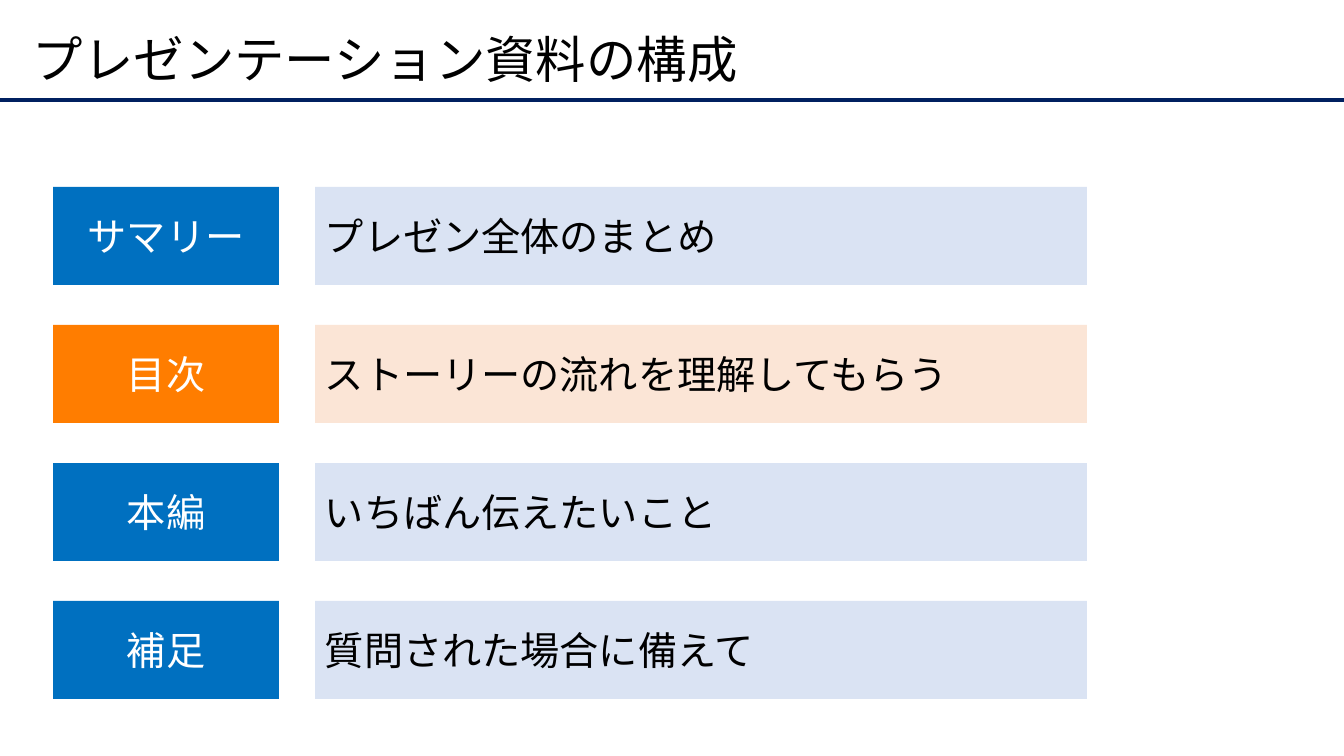
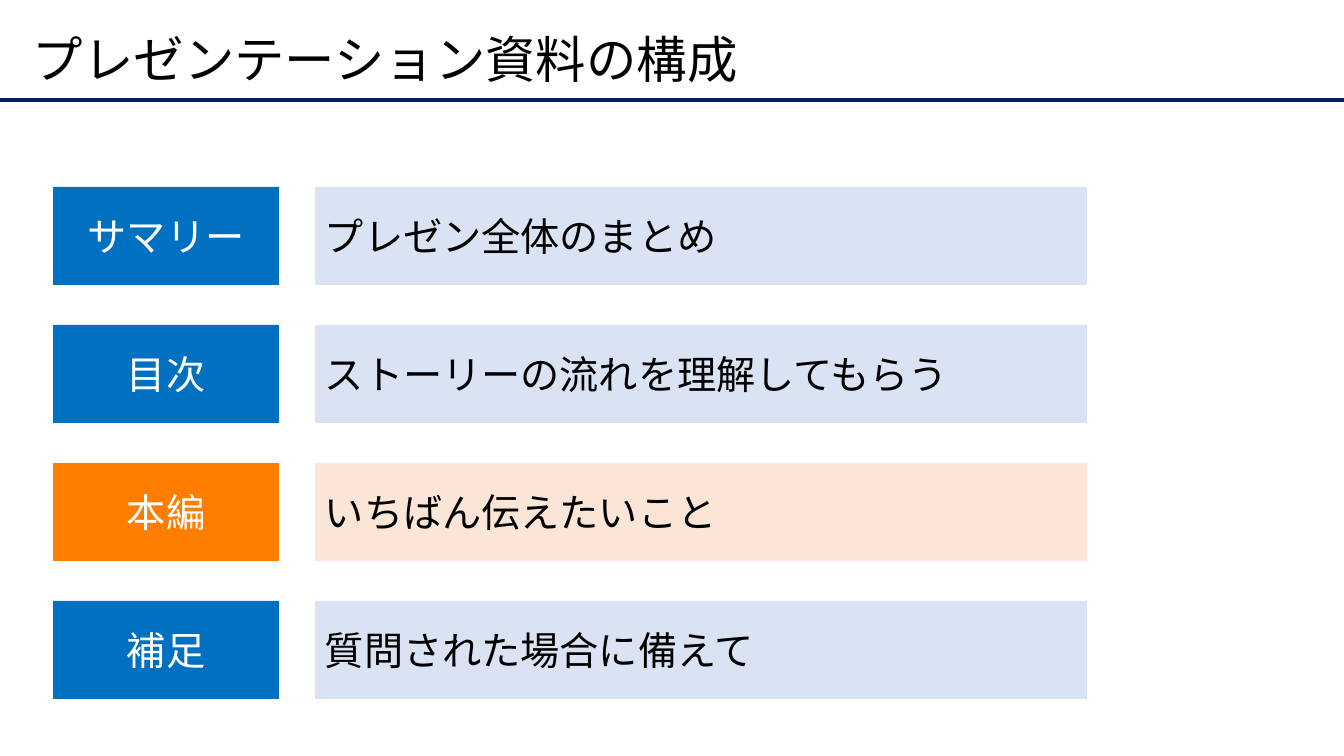
import dataclasses

import pptx
import pptx.dml.color
import pptx.enum.shapes
import pptx.enum.text
import pptx.oxml.ns
import pptx.presentation
import pptx.shapes.autoshape
import pptx.slide
import pptx.util
from lxml import etree

RGB = pptx.dml.color.RGBColor
ALIGN = pptx.enum.text.PP_ALIGN

NAVY = RGB(0x00, 0x20, 0x60)
BLUE = RGB(0x00, 0x70, 0xC0)
PALE_BLUE = RGB(0xDA, 0xE3, 0xF3)
ORANGE = RGB(0xFF, 0x7D, 0x00)
PALE_ORANGE = RGB(0xFB, 0xE5, 0xD6)
WHITE = RGB(0xFF, 0xFF, 0xFF)
BLACK = RGB(0x00, 0x00, 0x00)

FONT = "Noto Sans CJK JP"
TITLE_SIZE, ROW_SIZE = 36, 28

EMU_PER_PX = 914400 / 100.8
SLIDE_W, SLIDE_H = 1344, 756
RULE_Y = 100
LABEL_X, LABEL_W = 53, 226
DETAIL_X, DETAIL_W = 315, 772
ROW_TOP, ROW_H, ROW_GAP = 187, 98, 40

TITLE = "プレゼンテーション資料の構成"


@dataclasses.dataclass(frozen=True)
class Section:
    label: str
    detail: str


@dataclasses.dataclass(frozen=True)
class Palette:
    label: RGB
    detail: RGB


SECTIONS = (
    Section("サマリー", "プレゼン全体のまとめ"),
    Section("目次", "ストーリーの流れを理解してもらう"),
    Section("本編", "いちばん伝えたいこと"),
    Section("補足", "質問された場合に備えて"),
)
HIGHLIGHTED = ("目次", "本編")  # one slide each

NORMAL = Palette(BLUE, PALE_BLUE)
ACTIVE = Palette(ORANGE, PALE_ORANGE)


def px(n: int) -> pptx.util.Emu:
    return pptx.util.Emu(round(n * EMU_PER_PX))


def set_text(
    sp: pptx.shapes.autoshape.Shape, text: str, size: int, color: RGB, align: ALIGN
) -> None:
    tf = sp.text_frame
    tf.word_wrap = True
    tf.vertical_anchor = pptx.enum.text.MSO_ANCHOR.MIDDLE
    tf.text = text
    p = tf.paragraphs[0]
    p.alignment = align
    r = p.runs[0]
    r.font.size = pptx.util.Pt(size)
    r.font.color.rgb = color
    r.font.name = FONT
    # Japanese glyphs take the East Asian typeface, not the Latin one
    ea = etree.SubElement(r.font._element, pptx.oxml.ns.qn("a:ea"))
    ea.set("typeface", FONT)


def add_header(slide: pptx.slide.Slide) -> None:
    rule = slide.shapes.add_connector(
        pptx.enum.shapes.MSO_CONNECTOR.STRAIGHT,
        px(0), px(RULE_Y), px(SLIDE_W), px(RULE_Y),
    )
    rule.line.color.rgb = NAVY
    rule.line.width = pptx.util.Pt(2.25)
    etree.SubElement(rule._element.spPr, pptx.oxml.ns.qn("a:effectLst"))

    sp = slide.shapes.add_textbox(px(23), px(20), px(1270), px(85))
    set_text(sp, TITLE, TITLE_SIZE, BLACK, ALIGN.LEFT)
    sp.text_frame.paragraphs[0].line_spacing = 0.9


def add_box(
    slide: pptx.slide.Slide, x: int, y: int, w: int, fill: RGB
) -> pptx.shapes.autoshape.Shape:
    sp = slide.shapes.add_shape(
        pptx.enum.shapes.MSO_SHAPE.RECTANGLE, px(x), px(y), px(w), px(ROW_H)
    )
    sp.shadow.inherit = False
    sp.fill.solid()
    sp.fill.fore_color.rgb = fill
    sp.line.fill.background()
    return sp


def add_section(
    slide: pptx.slide.Slide, section: Section, y: int, palette: Palette
) -> None:
    label = add_box(slide, LABEL_X, y, LABEL_W, palette.label)
    set_text(label, section.label, ROW_SIZE, WHITE, ALIGN.CENTER)
    detail = add_box(slide, DETAIL_X, y, DETAIL_W, palette.detail)
    set_text(detail, section.detail, ROW_SIZE, BLACK, ALIGN.LEFT)


def add_outline_slide(prs: pptx.presentation.Presentation, highlighted: str) -> None:
    slide = prs.slides.add_slide(prs.slide_layouts[6])
    add_header(slide)
    for i, section in enumerate(SECTIONS):
        palette = ACTIVE if section.label == highlighted else NORMAL
        add_section(slide, section, ROW_TOP + i * (ROW_H + ROW_GAP), palette)


def main() -> None:
    prs = pptx.Presentation()
    prs.slide_width, prs.slide_height = px(SLIDE_W), px(SLIDE_H)
    for highlighted in HIGHLIGHTED:
        add_outline_slide(prs, highlighted)
    prs.save("out.pptx")


if __name__ == "__main__":
    main()
